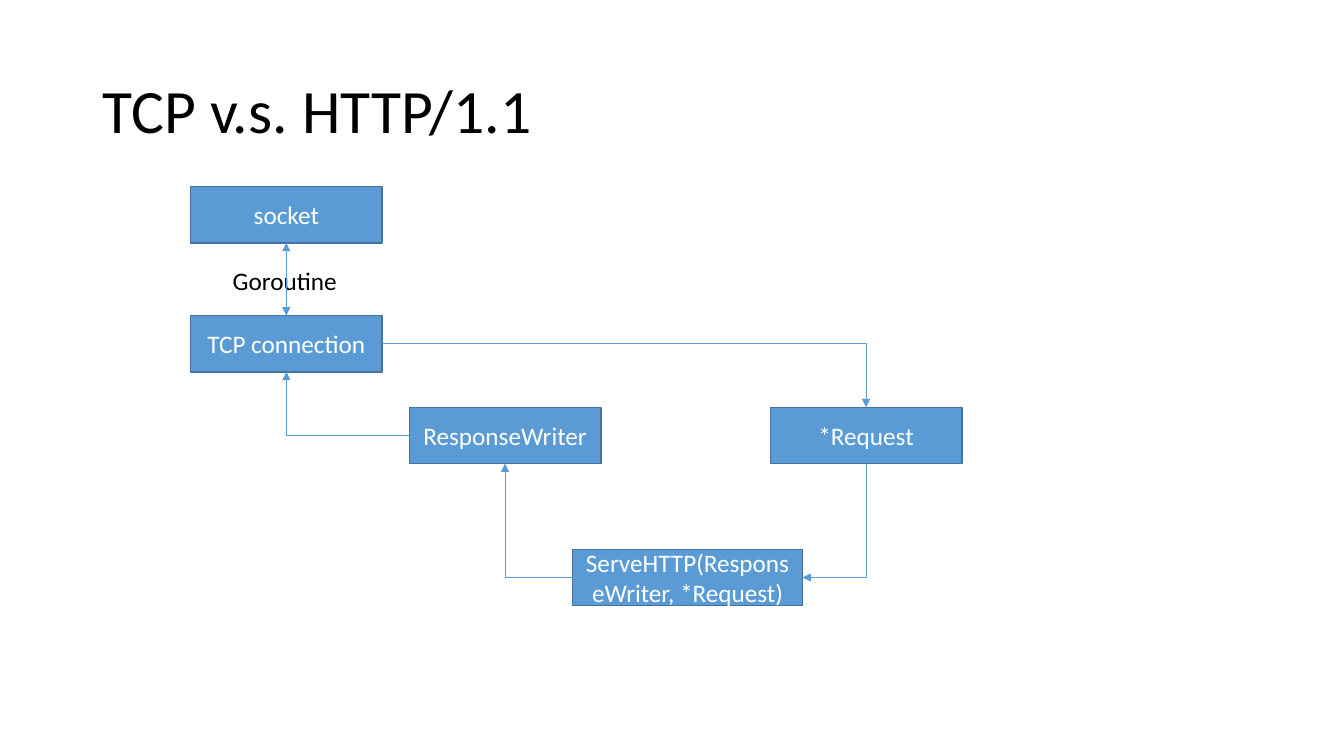
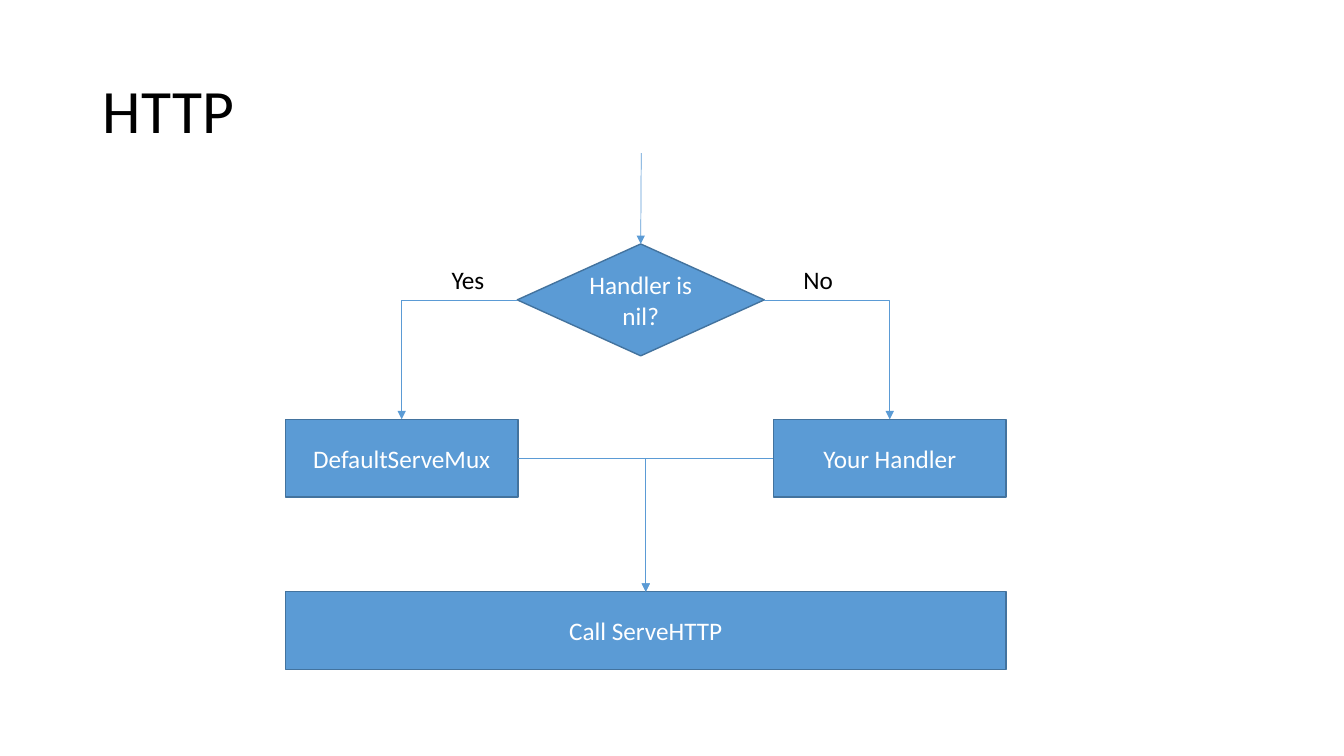
"""Two flow charts about serving HTTP."""
from dataclasses import dataclass
from typing import Optional

from lxml import etree
from pptx import Presentation
from pptx.dml.color import RGBColor
from pptx.enum import shapes, text
from pptx.oxml.ns import qn
from pptx.util import Inches, Pt

COLORS = {"node": "5B9BD5", "outline": "43739E", "ink": "000000", "paper": "FFFFFF"}
FONT = "Calibri"
BODY_SIZE, TITLE_SIZE = 18, 44
TOP, LEFT, BOTTOM, RIGHT = range(4)  # connection sites of rectangles and diamonds
RECT = shapes.MSO_SHAPE.RECTANGLE
DIAMOND = shapes.MSO_SHAPE.DIAMOND


@dataclass(frozen=True)
class Node:
    """A filled box of the flow chart, in inches."""
    caption: str
    left: float
    top: float
    width: float
    height: float
    outline: int = RECT


@dataclass(frozen=True)
class Label:
    """A plain caption beside an arrow."""
    caption: str
    left: float
    top: float
    width: float
    height: float = 0.4


@dataclass(frozen=True)
class Link:
    """An arrow between sites of two nodes, or from a free point above the target."""
    source: Optional[str]
    source_site: int
    target: str
    target_site: int
    bent: bool = True
    start: tuple = (0, 0)


@dataclass(frozen=True)
class Flow:
    """One slide with its title and chart."""
    title: str
    nodes: tuple
    labels: tuple
    links: tuple


def color(name: str) -> RGBColor:
    """Look up a palette colour."""
    return RGBColor.from_string(COLORS[name])


def style_text(frame, caption: str, size: int, ink: str, align) -> None:
    """Fill a text frame with one styled paragraph."""
    frame.text = caption
    paragraph = frame.paragraphs[0]
    paragraph.alignment = align
    paragraph.font.name = FONT
    paragraph.font.size = Pt(size)
    paragraph.font.color.rgb = color(ink)


def place(item) -> tuple:
    """Give the left, top, width and height of a node or label."""
    return tuple(map(Inches, (item.left, item.top, item.width, item.height)))


def set_title(slide, caption: str) -> None:
    """Move and format the title placeholder."""
    title = slide.shapes.title
    title.left, title.top = Inches(0.92), Inches(0.4)
    title.width, title.height = Inches(11.5), Inches(1.45)
    style_text(title.text_frame, caption, TITLE_SIZE, "ink", text.PP_ALIGN.LEFT)
    title.text_frame.vertical_anchor = text.MSO_ANCHOR.MIDDLE
    title.text_frame.paragraphs[0].line_spacing = 0.9


def draw_node(slide, node: Node):
    """Draw a box and return its shape."""
    box = slide.shapes.add_shape(node.outline, *place(node))
    box.shadow.inherit = False
    box.fill.solid()
    box.fill.fore_color.rgb = color("node")
    box.line.color.rgb = color("outline")
    box.line.width = Pt(1)
    style_text(box.text_frame, node.caption, BODY_SIZE, "paper", text.PP_ALIGN.CENTER)
    box.text_frame.vertical_anchor = text.MSO_ANCHOR.MIDDLE
    return box


def draw_label(slide, label: Label) -> None:
    """Draw a caption that grows with its text."""
    frame = slide.shapes.add_textbox(*place(label)).text_frame
    frame.word_wrap = False
    frame.auto_size = text.MSO_AUTO_SIZE.SHAPE_TO_FIT_TEXT
    style_text(frame, label.caption, BODY_SIZE, "ink", text.PP_ALIGN.LEFT)


def bend_once(arrow, down_first: bool) -> None:
    """Give an elbow a single corner; down_first runs down, then left."""
    properties = arrow._element.spPr
    properties.find(qn("a:prstGeom")).set("prst", "bentConnector2")
    if down_first:
        width, height = arrow.width, arrow.height
        shift = (width - height) // 2
        arrow.left, arrow.top = arrow.left + shift, arrow.top - shift
        arrow.width, arrow.height = height, width
        properties.xfrm.flipH = False
        properties.xfrm.rot = 90


def draw_link(slide, link: Link, boxes: dict) -> None:
    """Draw an arrow glued to its nodes."""
    kind = shapes.MSO_CONNECTOR.ELBOW if link.bent else shapes.MSO_CONNECTOR.STRAIGHT
    start = tuple(map(Inches, link.start))
    arrow = slide.shapes.add_connector(kind, *start, *start)
    if link.source:
        arrow.begin_connect(boxes[link.source], link.source_site)
    arrow.end_connect(boxes[link.target], link.target_site)
    if link.bent:
        bend_once(arrow, link.source_site == BOTTOM)
    arrow.line.color.rgb = color("node")
    arrow.line.width = Pt(0.5)
    properties = arrow._element.spPr
    etree.SubElement(properties.find(qn("a:ln")), qn("a:tailEnd"), type="triangle")
    etree.SubElement(properties, qn("a:effectLst"))


def draw_flow(deck, flow: Flow) -> None:
    """Add a title-only slide with the flow chart."""
    slide = deck.slides.add_slide(deck.slide_layouts[5])
    set_title(slide, flow.title)
    boxes = {node.caption: draw_node(slide, node) for node in flow.nodes}
    for label in flow.labels:
        draw_label(slide, label)
    for link in flow.links:
        draw_link(slide, link, boxes)


SERVE = "ServeHTTP(ResponseWriter, *Request)"
STEP = (1.9, 0.56)
HANDLER = (2.31, 0.77)

FLOWS = (
    Flow(
        "TCP v.s. HTTP/1.1",
        nodes=(
            Node("socket", 1.89, 1.85, *STEP),
            Node("TCP connection", 1.89, 3.13, *STEP),
            Node("ResponseWriter", 4.06, 4.04, *STEP),
            Node("*Request", 7.64, 4.04, *STEP),
            Node(SERVE, 5.68, 5.45, 2.28, 0.56),
        ),
        labels=(Label("Goroutine", 2.21, 2.58, 1.25),),
        links=(
            Link("socket", BOTTOM, "TCP connection", TOP, bent=False),
            Link("TCP connection", TOP, "socket", BOTTOM, bent=False),
            Link("ResponseWriter", LEFT, "TCP connection", BOTTOM),
            Link("TCP connection", RIGHT, "*Request", TOP),
            Link(SERVE, LEFT, "ResponseWriter", BOTTOM),
            Link("*Request", BOTTOM, SERVE, RIGHT),
        ),
    ),
    Flow(
        "HTTP",
        nodes=(
            Node("Handler is nil?", 5.13, 2.42, 2.45, 1.11, DIAMOND),
            Node("DefaultServeMux", 2.83, 4.16, *HANDLER),
            Node("Your Handler", 7.67, 4.16, *HANDLER),
            Node("Call ServeHTTP", 2.83, 5.87, 7.15, 0.77),
        ),
        labels=(Label("Yes", 4.38, 2.57, 0.55), Label("No", 7.87, 2.57, 0.53)),
        links=(
            Link("Handler is nil?", LEFT, "DefaultServeMux", TOP),
            Link("Handler is nil?", RIGHT, "Your Handler", TOP),
            Link("DefaultServeMux", RIGHT, "Call ServeHTTP", TOP),
            Link("Your Handler", LEFT, "Call ServeHTTP", TOP),
            Link(None, TOP, "Handler is nil?", TOP, bent=False, start=(6.36, 1.52)),
        ),
    ),
)


def main() -> None:
    """Build and save the slides."""
    deck = Presentation()
    deck.slide_width, deck.slide_height = Inches(13.33), Inches(7.5)
    for flow in FLOWS:
        draw_flow(deck, flow)
    deck.save("out.pptx")


main()
